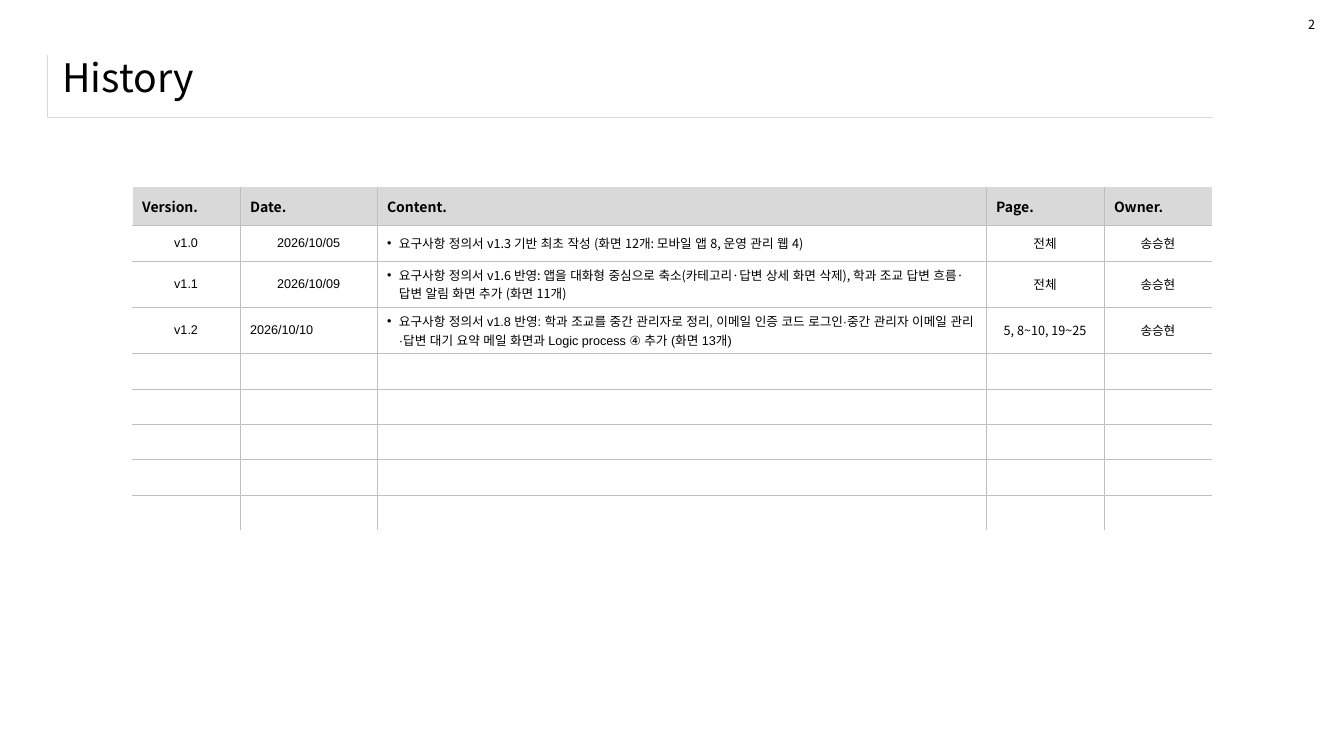
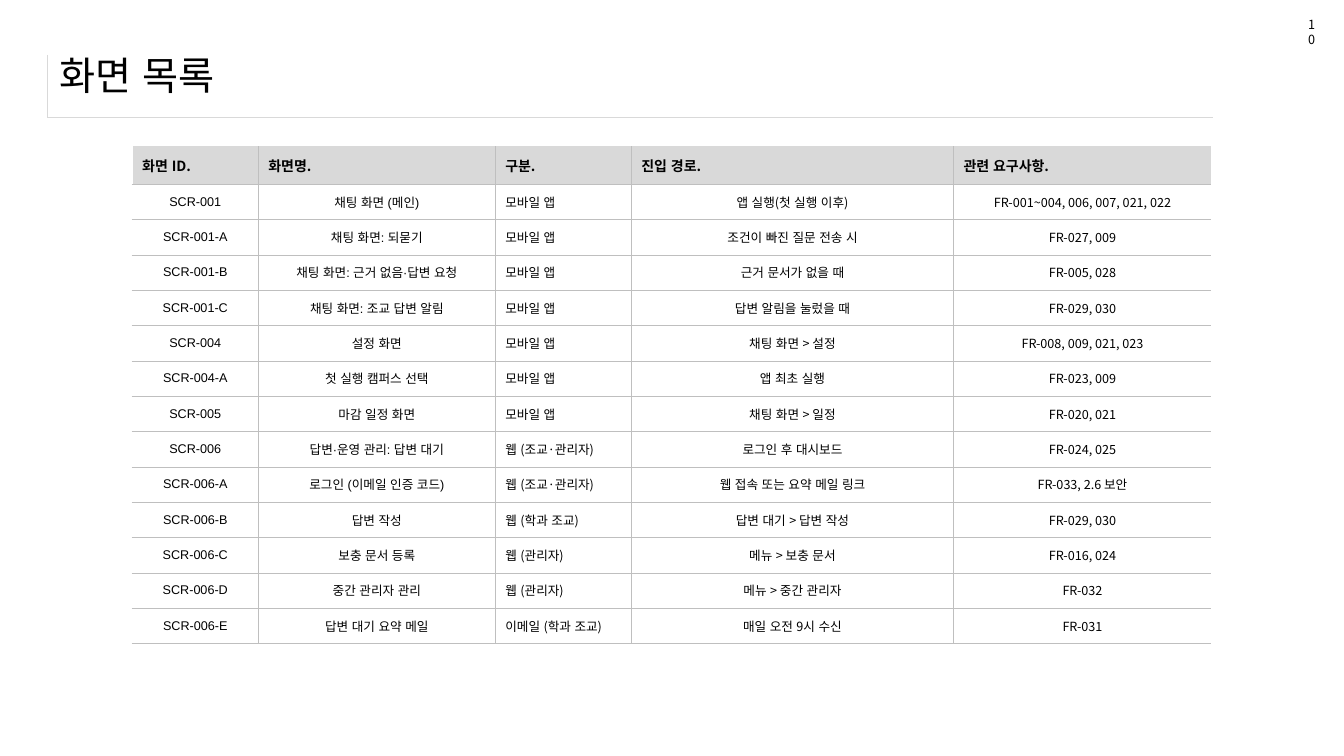
from lxml import etree
from pptx import Presentation
from pptx.dml.color import RGBColor
from pptx.enum.lang import MSO_LANGUAGE_ID
from pptx.enum.text import MSO_ANCHOR, MSO_AUTO_SIZE, PP_ALIGN
from pptx.oxml.ns import qn
from pptx.util import Cm, Pt

KOREAN = MSO_LANGUAGE_ID.KOREAN
MIDDLE = MSO_ANCHOR.MIDDLE
FIXED = MSO_AUTO_SIZE.NONE
LEFT, CENTER = PP_ALIGN.LEFT, PP_ALIGN.CENTER

NOTO, ARIAL = "Noto Sans CJK KR", "Arial"
BLACK, WHITE, PALE, GREY = "000000", "FFFFFF", "D9D9D9", "BFBFBF"
NONE, THIN, BLANK, RULE = (None, 0), (GREY, 0.25), (WHITE, 1), (PALE, 0.25)

TITLE = {"size": Pt(28), "name": NOTO, "bold": False}
HEAD = {"size": Pt(10), "name": NOTO, "bold": True}
BODY = {"size": Pt(9), "name": NOTO, "bold": False}
LATIN = {**BODY, "name": ARIAL}

LOW, TALL, TOP = 0.89, 1.17, 0.96

HISTORY = [
    (LOW, "CCbCc", ["v1.0", "2026/10/05",
                    "요구사항 정의서 v1.3 기반 최초 작성 (화면 12개: 모바일 앱 8, 운영 관리 웹 4)",
                    "전체", "송승현"]),
    (TALL, "CCbcc", ["v1.1", "2026/10/09",
                     "요구사항 정의서 v1.6 반영: 앱을 대화형 중심으로 축소(카테고리·답변 상세 화면 삭제), "
                     "학과 조교 답변 흐름·답변 알림 화면 추가 (화면 11개)",
                     "전체", "송승현"]),
    (TALL, "CLBcc", ["v1.2", "2026/10/10",
                     "요구사항 정의서 v1.8 반영: 학과 조교를 중간 관리자로 정리, 이메일 인증 코드 로그인·"
                     "중간 관리자 이메일 관리·답변 대기 요약 메일 화면과 Logic process ④ 추가 (화면 13개)",
                     "5, 8~10, 19~25", "송승현"]),
] + [(LOW, "lllll", [""] * 5)] * 5

SCREENS = [(LOW, "CClcc", cells) for cells in [
    ["SCR-001", "채팅 화면 (메인)", "모바일 앱", "앱 실행(첫 실행 이후)", "FR-001~004, 006, 007, 021, 022"],
    ["SCR-001-A", "채팅 화면: 되묻기", "모바일 앱", "조건이 빠진 질문 전송 시", "FR-027, 009"],
    ["SCR-001-B", "채팅 화면: 근거 없음·답변 요청", "모바일 앱", "근거 문서가 없을 때", "FR-005, 028"],
    ["SCR-001-C", "채팅 화면: 조교 답변 알림", "모바일 앱", "답변 알림을 눌렀을 때", "FR-029, 030"],
    ["SCR-004", "설정 화면", "모바일 앱", "채팅 화면 > 설정", "FR-008, 009, 021, 023"],
    ["SCR-004-A", "첫 실행 캠퍼스 선택", "모바일 앱", "앱 최초 실행", "FR-023, 009"],
    ["SCR-005", "마감 일정 화면", "모바일 앱", "채팅 화면 > 일정", "FR-020, 021"],
    ["SCR-006", "답변·운영 관리: 답변 대기", "웹 (조교·관리자)", "로그인 후 대시보드", "FR-024, 025"],
    ["SCR-006-A", "로그인 (이메일 인증 코드)", "웹 (조교·관리자)", "웹 접속 또는 요약 메일 링크", "FR-033, 2.6 보안"],
    ["SCR-006-B", "답변 작성", "웹 (학과 조교)", "답변 대기 > 답변 작성", "FR-029, 030"],
    ["SCR-006-C", "보충 문서 등록", "웹 (관리자)", "메뉴 > 보충 문서", "FR-016, 024"],
    ["SCR-006-D", "중간 관리자 관리", "웹 (관리자)", "메뉴 > 중간 관리자", "FR-032"],
    ["SCR-006-E", "답변 대기 요약 메일", "이메일 (학과 조교)", "매일 오전 9시 수신", "FR-031"],
]]


def paint(color, value):
    color.rgb = RGBColor.from_string(value)


def put_text(para, text, form, align=LEFT):
    para.alignment = align
    if not text:
        etree.SubElement(para._p, qn("a:endParaRPr"), sz=str(int(form["size"].pt * 100)))
        return
    run = para.add_run()
    run.text = text
    for key, value in {**form, "language_id": KOREAN}.items():
        setattr(run.font, key, value)
    paint(run.font.color, BLACK)
    etree.SubElement(run._r.get_or_add_rPr(), qn("a:ea"), typeface=NOTO)


def add_dot(para):
    props = para._p.get_or_add_pPr()
    props.set("marL", str(Cm(0.3)))
    props.set("indent", str(-Cm(0.3)))
    etree.SubElement(props, qn("a:buFont"), typeface=ARIAL)
    etree.SubElement(props, qn("a:buChar"), char="•")


def set_edges(cell, *edges):
    for side, (value, width) in zip("LRTB", edges):
        line = etree.SubElement(cell._tc.get_or_add_tcPr(), qn("a:ln" + side), w=str(Pt(width)))
        if value is None:
            etree.SubElement(line, qn("a:noFill"))
        else:
            fill = etree.SubElement(line, qn("a:solidFill"))
            etree.SubElement(fill, qn("a:srgbClr"), val=value)


def add_table(slide, left, top, widths, heights):
    frame = slide.shapes.add_table(len(heights), len(widths), Cm(left), Cm(top),
                                   Cm(sum(widths)), Cm(sum(heights)))
    table = frame.table
    table.horz_banding = table.first_row = False
    for col, width in zip(table.columns, widths):
        col.width = Cm(width)
    for row, height in zip(table.rows, heights):
        row.height = Cm(height)
    return frame


def fill_cell(cell, mark, text, head):
    cell.vertical_anchor = MIDDLE
    if head:
        cell.fill.solid()
        paint(cell.fill.fore_color, PALE)
        form = HEAD
    else:
        cell.fill.background()
        form = LATIN if mark.isupper() else BODY
    para = cell.text_frame.paragraphs[0]
    kind = mark.lower()
    if kind == "b":
        add_dot(para)
    put_text(para, text, form, CENTER if kind == "c" else LEFT)


def add_grid(slide, top, widths, heads, rows, end=THIN):
    lines = [(TOP, "l" * len(heads), heads)] + rows
    table = add_table(slide, 3.33, top, widths, [line[0] for line in lines]).table
    for i, (_, marks, texts) in enumerate(lines):
        for j, (mark, text) in enumerate(zip(marks, texts)):
            cell = table.cell(i, j)
            set_edges(cell,
                      THIN if j else BLANK,
                      THIN if j < len(heads) - 1 else NONE,
                      THIN if i else NONE,
                      THIN if i < len(rows) else end)
            fill_cell(cell, mark, text, i == 0)


def add_frame(slide):
    frame = add_table(slide, 1.19, 1.38, [29.37], [1.58])
    cell = frame.table.cell(0, 0)
    set_edges(cell, RULE, NONE, NONE, RULE)
    cell.fill.background()
    slide.slide_layout.shapes._spTree.append(frame._element)


def set_box(shape, left, top, width, height):
    sides = {"left": left, "top": top, "width": width, "height": height}
    for key, value in sides.items():
        setattr(shape, key, Cm(value))


def add_page(deck, title, number, box):
    slide = deck.slides.add_slide(deck.slide_layouts[5])
    head = slide.shapes.title
    set_box(head, *box)
    frame = head.text_frame
    frame.auto_size = FIXED
    frame.vertical_anchor = MIDDLE
    put_text(frame.paragraphs[0], title, TITLE)
    label = slide.shapes.add_textbox(Cm(32.72), Cm(0.3), Cm(0.69), Cm(0.64))
    label.text_frame.word_wrap = True
    put_text(label.text_frame.paragraphs[0], number, BODY)
    return slide


def main():
    deck = Presentation()
    deck.slide_width, deck.slide_height = Cm(33.87), Cm(19.05)

    slide = add_page(deck, "History", "2", (1.32, 1.14, 31.72, 1.6))
    add_frame(slide)
    add_grid(slide, 4.72, [2.72, 3.45, 15.35, 2.97, 2.72],
             ["Version.", "Date.", "Content.", "Page.", "Owner."],
             HISTORY, BLANK)

    slide = add_page(deck, "화면 목록", "10", (1.25, 1.04, 31.72, 1.7))
    add_grid(slide, 3.68, [3.18, 5.97, 3.43, 8.12, 6.5],
             ["화면 ID.", "화면명.", "구분.", "진입 경로.", "관련 요구사항."],
             SCREENS)

    deck.save("out.pptx")


if __name__ == "__main__":
    main()
